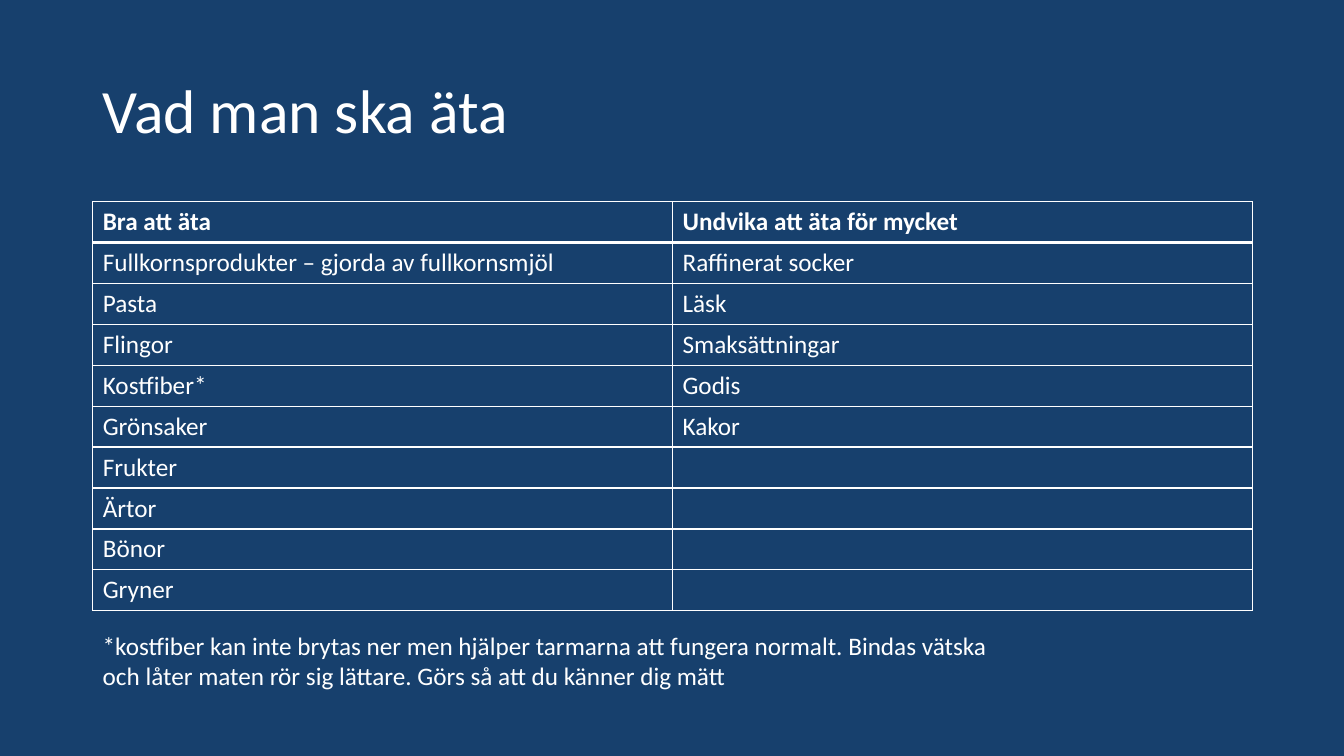
from dataclasses import dataclass
from itertools import zip_longest

from lxml import etree
from pptx import Presentation
from pptx.dml.color import RGBColor
from pptx.enum.text import MSO_ANCHOR
from pptx.oxml.ns import qn
from pptx.util import Inches, Pt

MIDDLE = MSO_ANCHOR.MIDDLE
TOP = MSO_ANCHOR.TOP
FONT = "Calibri"
COLORS = {"background": "17406D", "text": "FFFFFF", "border": "FFFFFF"}
LEFT, WIDTH = 0.92, 11.5
TABLE_TOP, TABLE_HEIGHT = 2, 4.06
BORDER, HEADER_RULE = 1, 3


@dataclass
class Caption:
    text: str
    top: float
    width: float
    height: float
    size: int
    anchor: MSO_ANCHOR
    line_spacing: float


@dataclass
class FoodColumn:
    heading: str
    foods: list[str]


CAPTIONS = [
    Caption("Vad man ska äta", 0.4, WIDTH, 1.45, 44, MIDDLE, 0.9),
    Caption(
        "*kostfiber kan inte brytas ner men hjälper tarmarna att fungera normalt. "
        "Bindas vätska och låter maten rör sig lättare. Görs så att du känner dig mätt",
        6.2, 9.29, 0.71, 18, TOP, 1.0,
    ),
]
FOOD_COLUMNS = [
    FoodColumn(
        "Bra att äta",
        ["Fullkornsprodukter – gjorda av fullkornsmjöl", "Pasta", "Flingor",
         "Kostfiber*", "Grönsaker", "Frukter", "Ärtor", "Bönor", "Gryner"],
    ),
    FoodColumn(
        "Undvika att äta för mycket",
        ["Raffinerat socker", "Läsk", "Smaksättningar", "Godis", "Kakor"],
    ),
]


def color(role: str) -> RGBColor:
    return RGBColor.from_string(COLORS[role])


def style_font(font, size: int, bold: bool = False) -> None:
    font.name = FONT
    font.size = Pt(size)
    font.bold = bold
    font.color.rgb = color("text")


def add_caption(slide, caption: Caption) -> None:
    box = slide.shapes.add_textbox(
        Inches(LEFT), Inches(caption.top), Inches(caption.width), Inches(caption.height)
    )
    frame = box.text_frame
    frame.word_wrap = True
    frame.vertical_anchor = caption.anchor
    frame.text = caption.text
    paragraph = frame.paragraphs[0]
    paragraph.line_spacing = caption.line_spacing
    style_font(paragraph.runs[0].font, caption.size)


def set_borders(cell, top: int, bottom: int) -> None:
    properties = cell._tc.get_or_add_tcPr()
    widths = {"a:lnL": BORDER, "a:lnR": BORDER, "a:lnT": top, "a:lnB": bottom}
    for position, (side, width) in enumerate(widths.items()):
        line = etree.Element(qn(side), w=str(Pt(width)))
        fill = etree.SubElement(line, qn("a:solidFill"))
        etree.SubElement(fill, qn("a:srgbClr"), val=COLORS["border"])
        properties.insert(position, line)


def add_food_table(slide, columns: list[FoodColumn]) -> None:
    rows = list(zip_longest(
        *([column.heading, *column.foods] for column in columns), fillvalue=""
    ))
    table = slide.shapes.add_table(
        len(rows), len(columns),
        Inches(LEFT), Inches(TABLE_TOP), Inches(WIDTH), Inches(TABLE_HEIGHT),
    ).table
    table.horz_banding = False
    for row_index, foods in enumerate(rows):
        for column_index, food in enumerate(foods):
            cell = table.cell(row_index, column_index)
            cell.fill.solid()
            cell.fill.fore_color.rgb = color("background")
            set_borders(
                cell,
                HEADER_RULE if row_index == 1 else BORDER,
                HEADER_RULE if row_index == 0 else BORDER,
            )
            cell.text_frame.text = food
            for run in cell.text_frame.paragraphs[0].runs:
                style_font(run.font, 18, bold=row_index == 0)


def main() -> None:
    presentation = Presentation()
    presentation.slide_width = Inches(13.33)
    presentation.slide_height = Inches(7.5)
    slide = presentation.slides.add_slide(presentation.slide_layouts[6])
    slide.background.fill.solid()
    slide.background.fill.fore_color.rgb = color("background")
    title, footnote = CAPTIONS
    add_caption(slide, title)
    add_food_table(slide, FOOD_COLUMNS)
    add_caption(slide, footnote)
    presentation.save("out.pptx")


if __name__ == "__main__":
    main()
